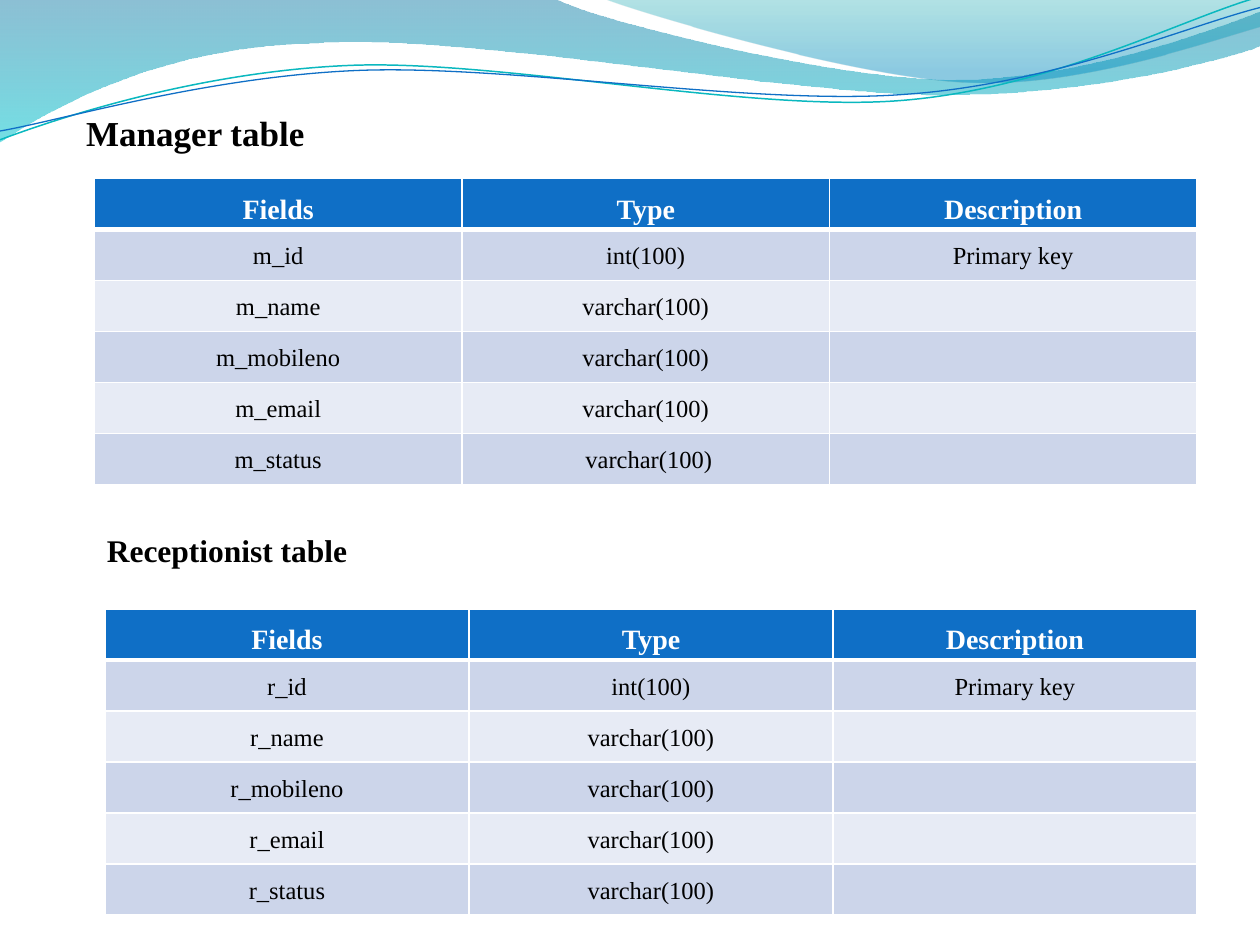
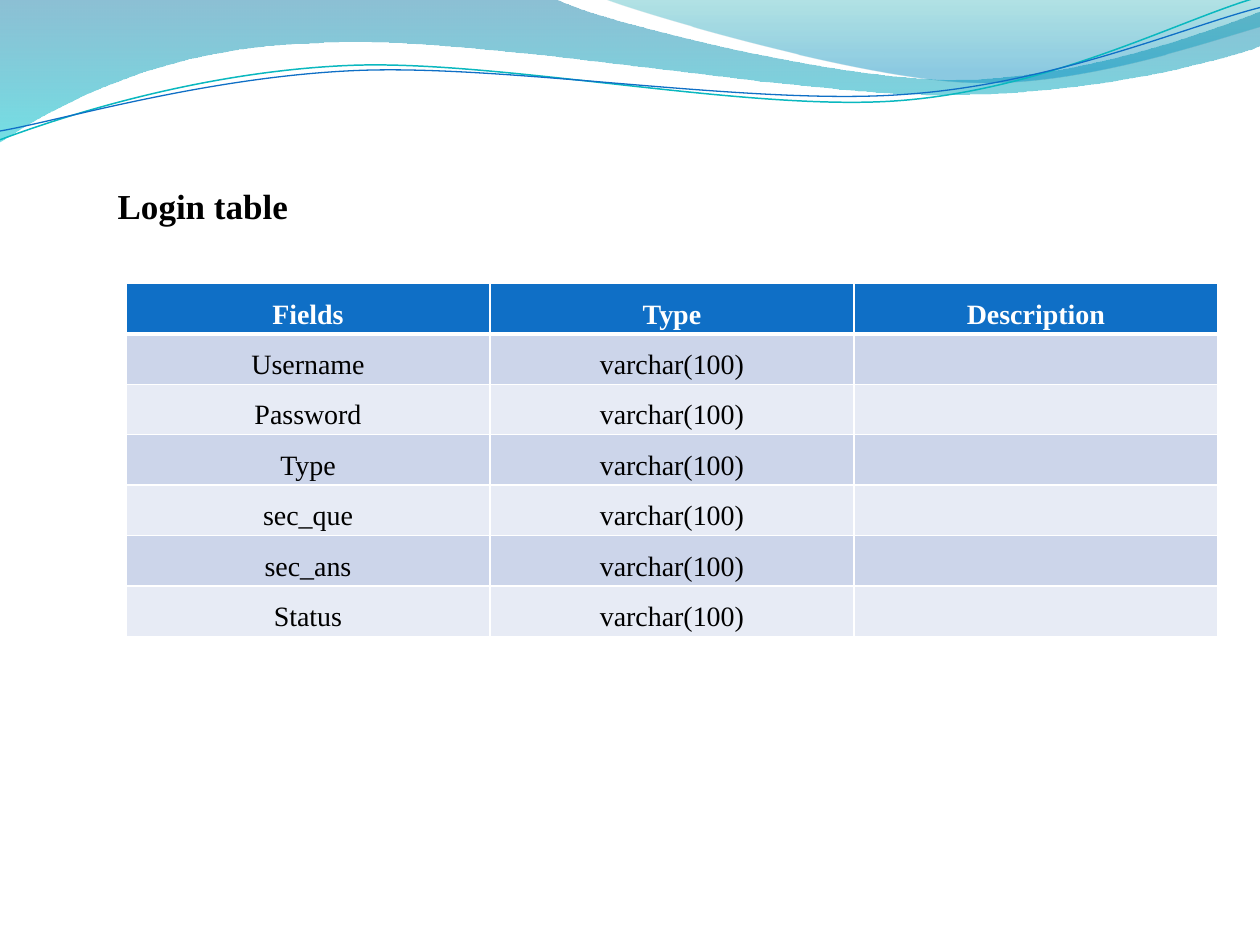
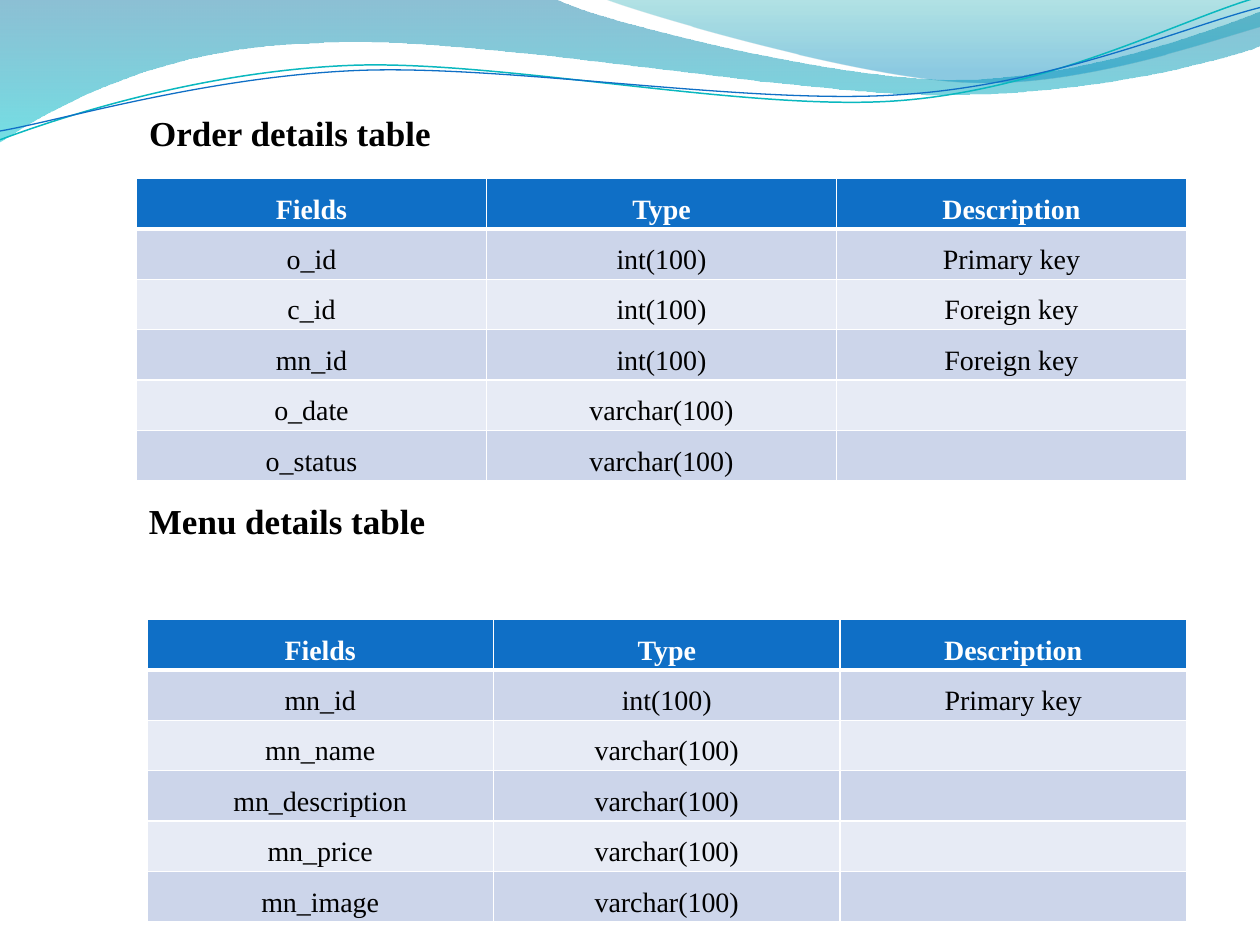
from dataclasses import dataclass

from lxml.etree import SubElement
from pptx import Presentation
from pptx.dml.color import RGBColor
from pptx.enum.text import MSO_ANCHOR, MSO_AUTO_SIZE, PP_ALIGN
from pptx.oxml.ns import qn
from pptx.util import Inches, Pt


@dataclass(frozen=True)
class Theme:
    font: str = "Times New Roman"
    heading_size: int = 20
    header_size: int = 16
    header: str = "0F6FC6"
    bands: tuple = ("CCD5EA", "E7EBF5")
    text: str = "000000"
    white: str = "FFFFFF"
    thin_rule: int = 1
    thick_rule: int = 3
    teal: str = "0AB8BF"
    blue: str = "0F6FC6"


THEME = Theme()
COLUMNS, ROWS = 120, 90
ROOMY_ROW, TIGHT_ROW = Inches(0.405), Inches(0.37)
HEADER = ("Fields", "Type", "Description")
NUMBER, STRING = "int(100)", "varchar(100)"
PRIMARY, FOREIGN = "Primary key", "Foreign key"


def add_styled_run(paragraph, text, size, color, bold=False):
    """Add a run and give the paragraph's end mark the same size and font."""
    run = paragraph.add_run()
    run.text = text
    run.font.name = THEME.font
    run.font.size = Pt(size)
    run.font.bold = bold
    run.font.color.rgb = RGBColor.from_string(color)
    end_mark = SubElement(paragraph._p, qn("a:endParaRPr"), sz=str(size * 100))
    SubElement(end_mark, qn("a:latin"), typeface=THEME.font)


# Wave: start, segments of one point (straight) or three (cubic Bézier),
# gradient stops (position, colour, opacity %), line (colour, width)
waves = [
    ((0, 0), [[(4.4, -0.01)],
              [(4.76, 0.17), (6.64, 0.63), (7.58, 0.63)],
              [(8.53, 0.63), (9.58, 0.26), (10, 0.09)],
              [(10.01, 0.36)],
              [(9.83, 0.44), (8.7, 0.76), (7.46, 0.75)],
              [(6.22, 0.75), (3.82, 0.28), (2.57, 0.34)],
              [(1.29, 0.36), (0.46, 0.83), (-0.01, 1.13)],
              [(0, 0)]],
     [(0, "0074A1", 45), (1, "00C6CF", 55)], None),
    ((4.79, -0.01), [[(5.09, 0.11), (6.82, 0.62), (7.69, 0.65)],
                     [(8.56, 0.69), (9.61, 0.32), (10, 0.21)],
                     [(10, 0)],
                     [(4.79, -0.01)]],
     [(0, "00A1A9", 30), (0.8, "008BBF", 45)], None),
    ((0, 1.11), [[(0.48, 0.93), (1.58, 0.57), (2.77, 0.52)],
                 [(3.95, 0.47), (5.93, 0.89), (7.13, 0.8)],
                 [(8.33, 0.71), (9.38, 0.15), (9.98, -0.02)]],
     None, (THEME.teal, 0.85)),
    ((0, 1.04), [[(0.47, 0.96), (1.64, 0.61), (2.83, 0.56)],
                 [(4.03, 0.51), (5.97, 0.84), (7.17, 0.75)],
                 [(8.36, 0.67), (9.41, 0.21), (10, 0.06)]],
     None, (THEME.blue, 0.75)),
]

# Section: heading, its size and (column, row, width), body size, row height,
# table's (column, row, width), records
slides = [
    [("Manager table", THEME.heading_size, (7, 10, 49), 14, ROOMY_ROW, (9, 17, 105),
      [("m_id", NUMBER, PRIMARY), ("m_name", STRING, ""), ("m_mobileno", STRING, ""),
       ("m_email", STRING, ""), ("m_status", " " + STRING, "")]),
     ("Receptionist table", 18, (9, 50, 42), 14, ROOMY_ROW, (10, 58, 104),
      [("r_id", NUMBER, PRIMARY), ("r_name", STRING, ""), ("r_mobileno", STRING, ""),
       ("r_email", STRING, ""), ("r_status", STRING, "")])],
    [("Login table", THEME.heading_size, (10, 17, 30), 16, TIGHT_ROW, (12, 27, 104),
      [(field, STRING, "") for field in
       ("Username", "Password", "Type", "sec_que", "sec_ans", "Status")])],
    [("Order details table", THEME.heading_size, (13, 10, 40), 16, TIGHT_ROW, (13, 17, 100),
      [("o_id", NUMBER, PRIMARY), ("c_id", NUMBER, FOREIGN), ("mn_id", NUMBER, FOREIGN),
       ("o_date", STRING, ""), ("o_status", STRING, "")]),
     ("Menu details table", THEME.heading_size, (13, 47, 44), 16, TIGHT_ROW, (14, 59, 99),
      [("mn_id", NUMBER, PRIMARY), ("mn_name", STRING, ""), ("mn_description", STRING, ""),
       ("mn_price", STRING, ""), ("mn_image", STRING, "")])],
]

deck = Presentation()
deck.slide_width, deck.slide_height = Inches(10), Inches(7.5)
column, row = deck.slide_width // COLUMNS, deck.slide_height // ROWS
title_only = deck.slide_layouts[5]

for sections in slides:
    slide = deck.slides.add_slide(title_only)
    for order, section in enumerate(sections):
        heading, heading_size, heading_place, body_size, row_height, table_place, records = section

        # Heading
        left, top, width = heading_place
        place = (left * column, top * row, width * column, Inches(0.44))
        if order == 0:
            label = slide.shapes.title
            label.left, label.top, label.width, label.height = place
        else:
            label = slide.shapes.add_textbox(*place)
        frame = label.text_frame
        frame.word_wrap = True
        frame.auto_size = MSO_AUTO_SIZE.SHAPE_TO_FIT_TEXT
        frame.vertical_anchor = MSO_ANCHOR.TOP
        frame.paragraphs[0].alignment = PP_ALIGN.LEFT
        add_styled_run(frame.paragraphs[0], heading, heading_size, THEME.text, bold=True)

        # Field table
        left, top, width = table_place
        lines = [HEADER, *records]
        table = slide.shapes.add_table(len(lines), len(HEADER), left * column, top * row,
                                       width * column, row_height * len(lines)).table
        for r, values in enumerate(lines):
            is_header = r == 0
            fill = THEME.header if is_header else THEME.bands[(r - 1) % 2]
            rules = {"a:lnL": THEME.thin_rule, "a:lnR": THEME.thin_rule,
                     "a:lnT": THEME.thick_rule if r == 1 else THEME.thin_rule,
                     "a:lnB": THEME.thick_rule if is_header else THEME.thin_rule}
            for c, value in enumerate(values):
                cell = table.cell(r, c)
                cell.margin_left = cell.margin_right = Inches(0.07)
                cell.margin_top = cell.margin_bottom = 0
                properties = cell._tc.get_or_add_tcPr()
                for side, weight in rules.items():
                    rule = SubElement(properties, qn(side), w=str(Pt(weight)))
                    SubElement(SubElement(rule, qn("a:solidFill")), qn("a:srgbClr"),
                               val=THEME.white)
                cell.fill.solid()
                cell.fill.fore_color.rgb = RGBColor.from_string(fill)
                if value:
                    paragraph = cell.text_frame.paragraphs[0]
                    paragraph.alignment = PP_ALIGN.CENTER
                    paragraph.line_spacing = 1.5
                    add_styled_run(paragraph, value,
                                   THEME.header_size if is_header else body_size,
                                   THEME.white if is_header else THEME.text, bold=is_header)

# Waves are drawn on a slide, then moved to the master behind its placeholders
master_tree = deck.slide_master.shapes.element
for order, (start, segments, stops, line) in enumerate(waves):
    builder = deck.slides[0].shapes.build_freeform(*map(Inches, start), scale=1.0)
    builder.add_line_segments([(Inches(x), Inches(y)) for segment in segments
                               for x, y in segment], close=bool(stops))
    wave = builder.convert_to_shape()
    wave.shadow.inherit = False

    # Join each three straight steps of a curved segment into one Bézier
    steps = iter(wave.element.xpath(".//a:lnTo"))
    for segment in segments:
        first, *others = [next(steps) for _ in segment]
        if others:
            first.tag = qn("a:cubicBezTo")
            for step in others:
                first.append(step[0])
                step.getparent().remove(step)

    if stops:
        wave.line.fill.background()
        wave.fill.gradient()
        wave.fill.gradient_angle = 270
        for stop, (position, color, _) in zip(wave.fill.gradient_stops, stops):
            stop.position = position
            stop.color.rgb = RGBColor.from_string(color)
        for tint, (_, _, opacity) in zip(wave.element.xpath(".//a:gs/a:srgbClr"), stops):
            SubElement(tint, qn("a:alpha"), val=str(opacity * 1000))
    else:
        color, weight = line
        wave.fill.background()
        wave.line.color.rgb = RGBColor.from_string(color)
        wave.line.width = Pt(weight)
    wave.element.nvSpPr.cNvPr.set("id", str(100 + order))
    master_tree.insert(2 + order, wave.element)

deck.save("out.pptx")
